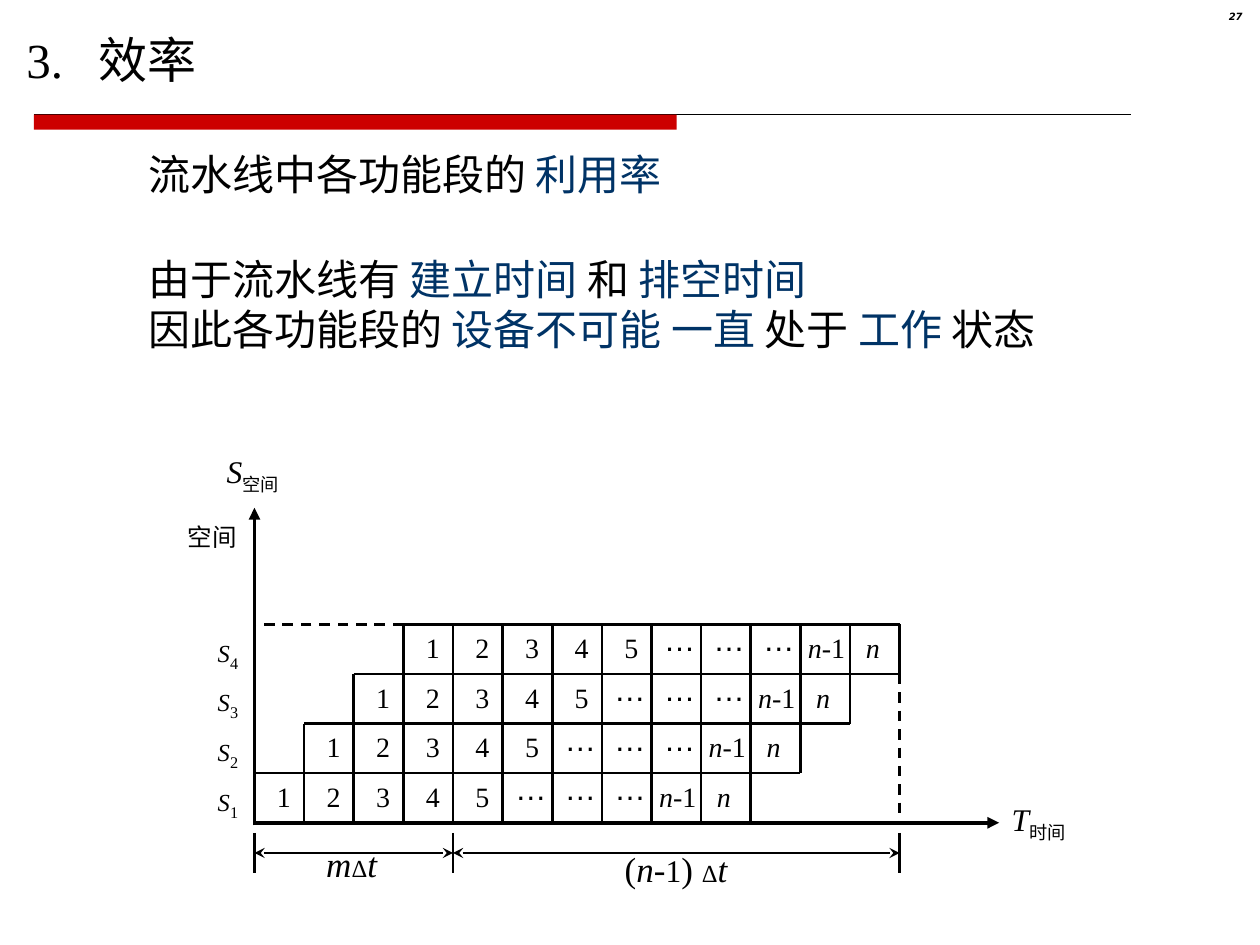
from lxml import etree
from pptx import Presentation
from pptx import util as u
from pptx.dml.color import RGBColor
from pptx.enum import dml, shapes, text
from pptx.oxml.ns import qn

Inches, Pt = u.Inches, u.Pt
COLORS = {"black": "000000", "navy": "003366", "red": "CC0000"}
SERIF = "Times New Roman"
ITALIC = {"italic": True}
NAVY = {"color": "navy"}
SUB = {"sub": True}

prs = Presentation()
prs.slide_width, prs.slide_height = Inches(10), Inches(7.5)
s = prs.slides.add_slide(prs.slide_layouts[6])


def add_text(x, y, w, h, paragraphs, size, font=SERIF, tabs=(), left=0.1):
    sp = s.shapes.add_textbox(Inches(x), Inches(y), Inches(w), Inches(h))
    tf = sp.text_frame
    tf.word_wrap = True
    tf.margin_left = Inches(left)
    for i, runs in enumerate(paragraphs):
        p = tf.add_paragraph() if i else tf.paragraphs[0]
        if tabs:
            tab_list = etree.SubElement(p._p.get_or_add_pPr(), qn("a:tabLst"))
            for pos in tabs:
                etree.SubElement(tab_list, qn("a:tab"), pos=str(Inches(pos)), algn="l")
        p.font.name, p.font.size = font, Pt(size)
        p.font.color.rgb = RGBColor.from_string(COLORS["black"])
        for words, style in runs:
            r = p.add_run()
            r.text = words
            if "italic" in style:
                r.font.italic = True
            if "size" in style:
                r.font.size = Pt(style["size"])
            if "color" in style:
                r.font.color.rgb = RGBColor.from_string(COLORS[style["color"]])
            if "sub" in style:
                r._r.get_or_add_rPr().set("baseline", "-25000")
    return tf


def add_line(x1, y1, x2, y2, width=1.5, dash=False, head=None, tail=None):
    c = s.shapes.add_connector(shapes.MSO_CONNECTOR.STRAIGHT,
                               Inches(x1), Inches(y1), Inches(x2), Inches(y2))
    c.line.width = Pt(width)
    c.line.color.rgb = RGBColor.from_string(COLORS["black"])
    if dash:
        c.line.dash_style = dml.MSO_LINE.DASH
    ln = c.line._get_or_add_ln()
    for tag, kind in (("a:headEnd", head), ("a:tailEnd", tail)):
        if kind:
            etree.SubElement(ln, qn(tag), type=kind)
    etree.SubElement(c._element.spPr, qn("a:effectLst"))


add_line(0.27, 0.91, 8.98, 0.91, 0.75)
bar = s.shapes.add_shape(shapes.MSO_SHAPE.RECTANGLE,
                         Inches(0.27), Inches(0.91), Inches(5.1), Inches(0.12))
bar.shadow.inherit = False
bar.fill.solid()
bar.fill.fore_color.rgb = RGBColor.from_string(COLORS["red"])
bar.line.fill.background()

tf = add_text(9.37, 0.05, 0.59, 0.23, [[("27", {})]], 5.7, "DejaVu Sans")
p = tf.paragraphs[0]
p.alignment = text.PP_ALIGN.RIGHT
p.line_spacing = 0.8
p.font.bold = p.font.italic = True

tf = add_text(0.21, 0.18, 2.58, 0.58, [[("3.\t效率", {})]], 28, tabs=[0.57], left=0)
tf.vertical_anchor = text.MSO_ANCHOR.MIDDLE

add_text(1.08, 1.13, 9.02, 0.5, [[("流水线中各功能段的 ", {}), ("利用率", NAVY)]], 24)
add_text(1.08, 1.96, 7.95, 0.97, [
    [("由于流水线有 ", {}), ("建立时间", NAVY), (" 和 ", {}), ("排空时间", NAVY)],
    [("因此各功能段的 ", {}), ("设备不可能 一直", NAVY), (" 处于 ", {}),
     ("工作", NAVY), (" 状态", {})],
], 24)

X0, Y0 = 2.02, 6.53
COLS, ROWS, TASKS = 13, 4, 10
CELL = 5.12 / COLS
xs = [X0 + CELL * i for i in range(COLS + 1)]
ys = [Y0 - CELL * i for i in range(ROWS + 1)]

add_line(X0, Y0, 7.93, Y0, 2.25, tail="triangle")
add_line(X0, 6.55, X0, 4.03, 2.25, tail="triangle")
for col in range(1, COLS + 1):
    add_line(xs[col], ys[max(0, col - TASKS)], xs[col], ys[min(col + 1, ROWS)])
for level in range(1, ROWS + 1):
    add_line(xs[level - 1], ys[level], xs[min(level + TASKS, COLS)], ys[level])
add_line(xs[3], ys[4], X0, ys[4], dash=True)
add_line(xs[13], ys[3], xs[13], Y0, dash=True)

for row in range(ROWS):
    top = ys[row + 1]
    add_text(1.63, top + 0.03, 0.47, 0.41,
             [[("S", {"italic": True, "size": 14}), (str(row + 1), SUB)]], 16)
    for i in range(5):
        add_text(xs[row + i] + 0.08, top, 0.24, 0.37, [[(str(i + 1), {})]], 16)
    add_text(xs[row + 5], top - 0.08, 1.26, 0.4, [[("…\t…\t…", {})]], 18, "Arial",
             tabs=[CELL, 2 * CELL])
    add_text(xs[row + 8], top, 0.94, 0.37,
             [[("n", ITALIC), ("-1\t", {}), ("n", ITALIC)]], 16, tabs=[0.46], left=0.06)

add_text(7.93, 6.3, 0.94, 0.44, [[("T", ITALIC), ("时间", SUB)]], 18)
add_text(1.7, 3.54, 0.79, 0.44, [[("S", ITALIC), ("空间", SUB)]], 18)
add_text(1.39, 4.09, 0.79, 0.34, [[("空间", {})]], 14)

marks = [xs[0], xs[4], xs[13]]
for x in marks:
    add_line(x, 6.61, x, 6.93)
for x1, x2 in zip(marks, marks[1:]):
    add_line(x1, 6.77, x2, 6.77, head="stealth", tail="stealth")
delta_t = [("Δ", {"size": 14}), ("t", ITALIC)]
add_text(2.49, 6.64, 1.49, 0.44, [[("m", ITALIC)] + delta_t], 20)
add_text(4.86, 6.68, 1.49, 0.44,
         [[("(", {}), ("n", ITALIC), ("-", {}), ("1", {"size": 18}), (") ", {})] + delta_t], 20)

prs.save("out.pptx")
